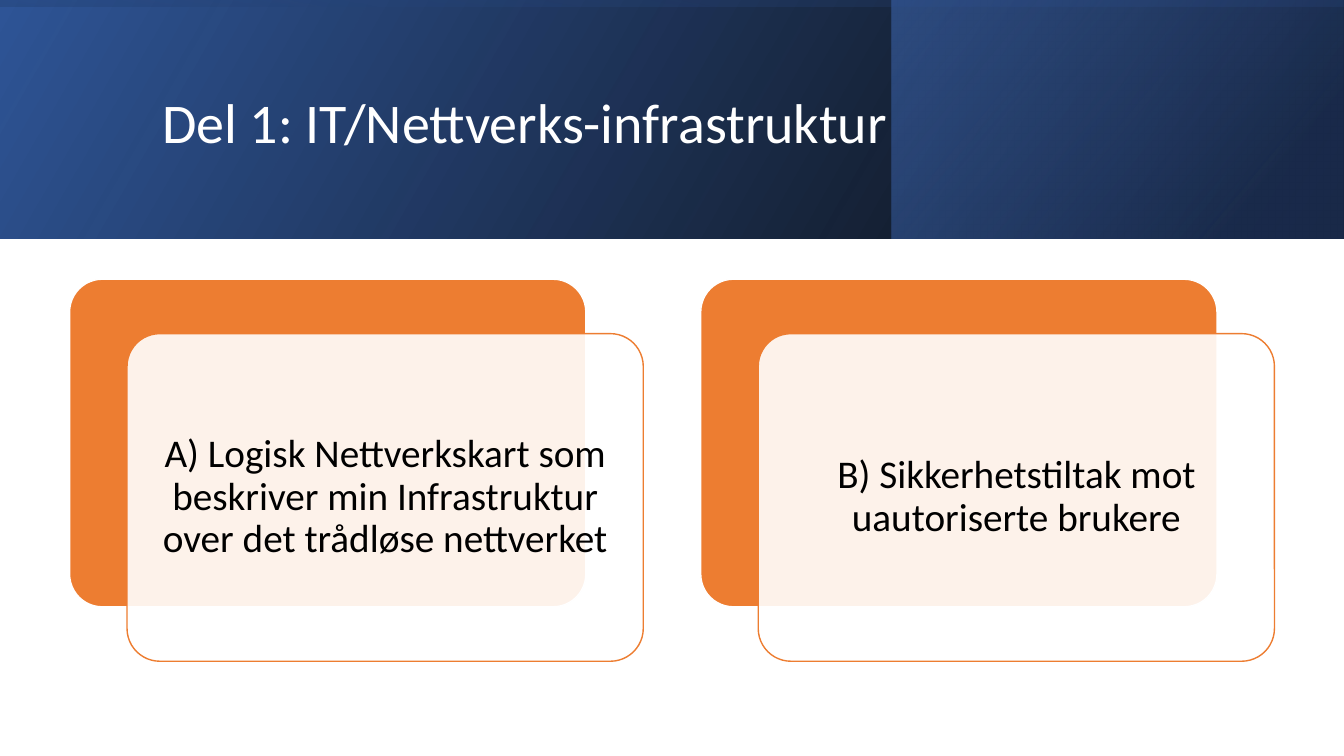
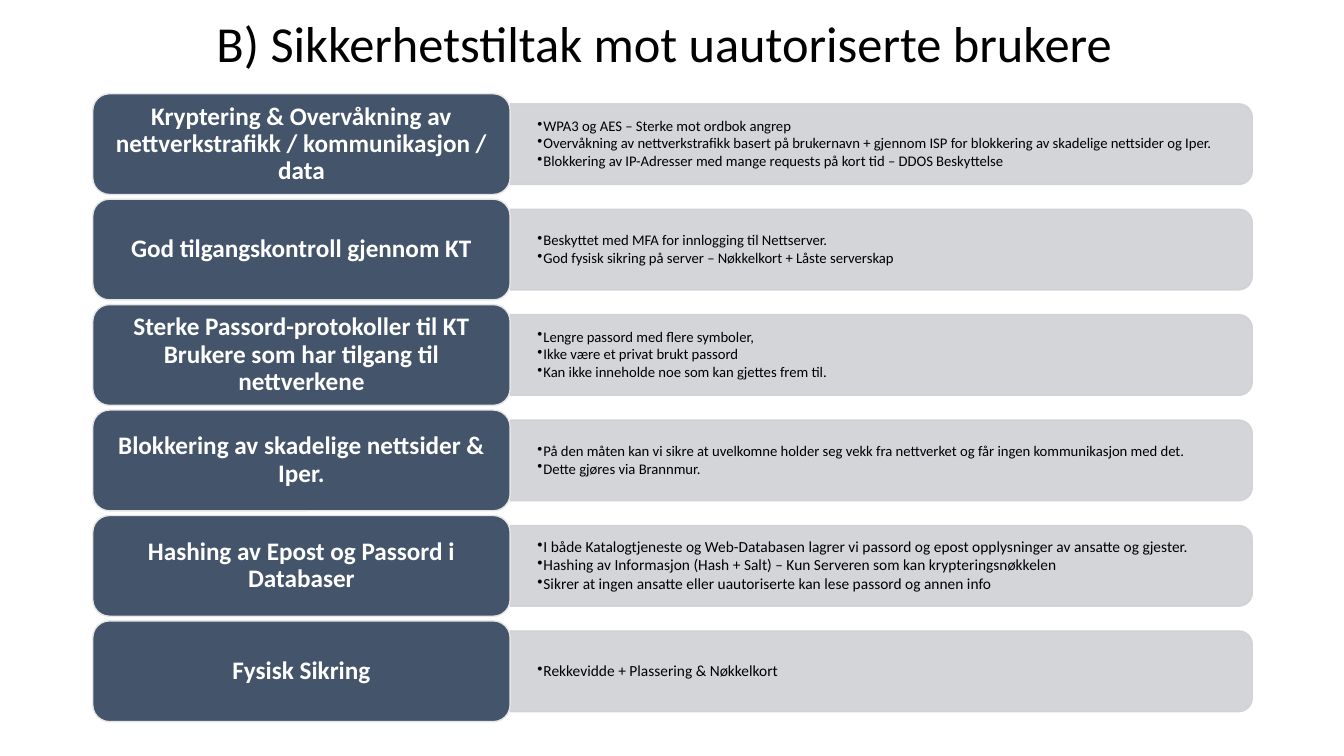
from lxml import etree
from pptx import Presentation
from pptx.dml.color import RGBColor
from pptx.enum import shapes, text
from pptx.oxml.ns import qn
from pptx.util import Inches, Pt

FONT = "Calibri"
WHITE = RGBColor(0xFF, 0xFF, 0xFF)
BLACK = RGBColor(0x00, 0x00, 0x00)
ORANGE = RGBColor(0xED, 0x7D, 0x31)
SLATE = RGBColor(0x44, 0x54, 0x6A)
PALE = RGBColor(0xE7, 0xE6, 0xE6)
GREY = RGBColor(0xCF, 0xD1, 0xD4)
BLUE = RGBColor(0x2F, 0x55, 0x97)
NAVY = RGBColor(0x20, 0x38, 0x64)
SKY = RGBColor(0x44, 0x72, 0xC4)

RECTANGLE = shapes.MSO_SHAPE.RECTANGLE
ROUNDED = shapes.MSO_SHAPE.ROUNDED_RECTANGLE
TWO_ROUNDED = shapes.MSO_SHAPE.ROUND_2_SAME_RECTANGLE
CENTER = text.PP_ALIGN.CENTER
LEFT = text.PP_ALIGN.LEFT

SECURITY_TITLE = "B) Sikkerhetstiltak mot uautoriserte brukere"

# (box, rotation, clockwise angle, stops of position, colour, opacity)
BAND_LAYERS = [
    ((0, 0, 13.33, 2.37), 0, 330, [(0, BLACK, 96), (100, BLUE, 100)]),
    ((8.84, 0, 4.48, 2.37), 0, 320, [(19, NAVY, 68), (100, SKY, 48)]),
    ((5.48, -5.48, 2.37, 13.33), 270, 350, [(23, BLUE, 16), (99, BLACK, 45)]),
]

CARDS = [
    "A) Logisk Nettverkskart som beskriver min Infrastruktur over det trådløse nettverket",
    SECURITY_TITLE,
]

MEASURES = [
    ("Kryptering & Overvåkning av nettverkstrafikk / kommunikasjon / data", 10.5, [
        "WPA3 og AES – Sterke mot ordbok angrep",
        "Overvåkning av nettverkstrafikk basert på brukernavn + gjennom ISP for blokkering av skadelige nettsider og Iper.",
        "Blokkering av IP-Adresser med mange requests på kort tid – DDOS Beskyttelse",
    ]),
    ("God tilgangskontroll gjennom KT", 10.5, [
        "Beskyttet med MFA for innlogging til Nettserver.",
        "God fysisk sikring på server – Nøkkelkort + Låste serverskap",
    ]),
    ("Sterke Passord-protokoller til KT Brukere som har tilgang til nettverkene", 10.5, [
        "Lengre passord med flere symboler,",
        "Ikke være et privat brukt passord",
        "Kan ikke inneholde noe som kan gjettes frem til.",
    ]),
    ("Blokkering av skadelige nettsider & Iper.", 10.5, [
        "På den måten kan vi sikre at uvelkomne holder seg vekk fra nettverket og får ingen kommunikasjon med det.",
        "Dette gjøres via Brannmur.",
    ]),
    ("Hashing av Epost og Passord i Databaser", 11, [
        "I både Katalogtjeneste og Web-Databasen lagrer vi passord og epost opplysninger av ansatte og gjester.",
        "Hashing av Informasjon (Hash + Salt) – Kun Serveren som kan krypteringsnøkkelen",
        "Sikrer at ingen ansatte eller uautoriserte kan lese passord og annen info",
    ]),
    ("Fysisk Sikring", 11, ["Rekkevidde + Plassering & Nøkkelkort"]),
]

CARD_LEFT, CARD_TOP, CARD_PITCH = 0.69, 2.77, 6.26
CARD_WIDTH, CARD_HEIGHT = 5.12, 3.25
CARD_SHIFT_X, CARD_SHIFT_Y = 0.57, 0.54
ROW_LEFT, ROW_TOP, LAST_ROW_TOP = 0.92, 0.93, 6.16
LABEL_WIDTH, LABEL_HEIGHT = 4.14, 1
BAR_WIDTH, BAR_HEIGHT = 7.36, 0.8
DETAIL_WIDTH, DETAIL_HEIGHT = 7.32, 0.72


def inches(box):
    return [Inches(value) for value in box]


def set_opacity(colour, percent):
    etree.SubElement(colour, qn("a:alpha")).set("val", str(percent * 1000))


def add_shape(slide, kind, box, fill=None, line=None, opacity=100):
    shape = slide.shapes.add_shape(kind, *inches(box))
    shape.shadow.inherit = False
    if fill is not None:
        shape.fill.solid()
        shape.fill.fore_color.rgb = fill
        if opacity < 100:
            set_opacity(shape._element.spPr.find(f".//{qn('a:srgbClr')}"), opacity)
    if line is None:
        shape.line.fill.background()
    else:
        shape.line.color.rgb = line
        shape.line.width = Pt(1)
    return shape


def write(shape, lines, size, colour, align=CENTER, bold=False, insets=(0.1, 0.05)):
    frame = shape.text_frame
    frame.word_wrap = True
    frame.vertical_anchor = text.MSO_ANCHOR.MIDDLE
    frame.margin_left = frame.margin_right = Inches(insets[0])
    frame.margin_top = frame.margin_bottom = Inches(insets[1])
    frame.text = "\n".join(lines)
    for paragraph in frame.paragraphs:
        paragraph.alignment = align
        paragraph.line_spacing = 0.9
        paragraph.font.name = FONT
        paragraph.font.size = Pt(size)
        paragraph.font.bold = bold
        paragraph.font.color.rgb = colour
    return frame


def add_bullets(frame):
    for paragraph in frame.paragraphs:
        paragraph.space_after = Pt(1.3)
        properties = paragraph._p.get_or_add_pPr()
        properties.set("marL", str(Inches(0.06)))
        properties.set("indent", str(-Inches(0.06)))
        etree.SubElement(properties, qn("a:buChar")).set("char", "•")
        properties.append(properties.find(qn("a:defRPr")))


def add_titled_slide(presentation, title, box, size, colour, align):
    slide = presentation.slides.add_slide(presentation.slide_layouts[5])
    shape = slide.shapes.title
    shape.left, shape.top, shape.width, shape.height = inches(box)
    write(shape, [title], size, colour, align)
    return slide


def add_band(slide):
    for box, rotation, angle, stops in BAND_LAYERS:
        layer = add_shape(slide, RECTANGLE, box)
        layer.rotation = rotation
        layer._element.spPr.find(qn("a:xfrm")).set("flipH", "1")
        layer.fill.gradient()
        layer.fill.gradient_angle = 360 - angle
        for stop, (position, colour, _) in zip(layer.fill.gradient_stops, stops):
            stop.position = position / 100
            stop.color.rgb = colour
        colours = layer._element.spPr.find(qn("a:gradFill")).iter(qn("a:srgbClr"))
        for colour, (_, _, opacity) in zip(list(colours), stops):
            set_opacity(colour, opacity)
    slide.shapes._spTree.append(slide.shapes.title._element)


def build_overview(presentation):
    slide = add_titled_slide(presentation, "Del 1: IT/Nettverks-infrastruktur",
                             (1.51, 0.38, 10.63, 1.72), 40, WHITE, LEFT)
    add_band(slide)
    for index, caption in enumerate(CARDS):
        left = CARD_LEFT + index * CARD_PITCH
        back = add_shape(slide, ROUNDED, (left, CARD_TOP, CARD_WIDTH, CARD_HEIGHT), ORANGE, WHITE)
        front_box = (left + CARD_SHIFT_X, CARD_TOP + CARD_SHIFT_Y, CARD_WIDTH, CARD_HEIGHT)
        front = add_shape(slide, ROUNDED, front_box, WHITE, ORANGE, 90)
        for card in (back, front):
            card.adjustments[0] = 0.1
        write(front, [caption], 28, BLACK, insets=(0.12, 0.12))


def build_measures(presentation):
    slide = add_titled_slide(presentation, SECURITY_TITLE,
                             (0.84, -0.16, 11.5, 1.24), 36, BLACK, CENTER)
    pitch = (LAST_ROW_TOP - ROW_TOP) / (len(MEASURES) - 1)
    bar_left = ROW_LEFT + LABEL_WIDTH
    turn = (BAR_WIDTH - BAR_HEIGHT) / 2
    for index, (heading, size, details) in enumerate(MEASURES):
        top = ROW_TOP + index * pitch
        bar_top = top + (LABEL_HEIGHT - BAR_HEIGHT) / 2
        detail_top = top + (LABEL_HEIGHT - DETAIL_HEIGHT) / 2
        bar = add_shape(slide, TWO_ROUNDED, (bar_left + turn, bar_top - turn, BAR_HEIGHT, BAR_WIDTH),
                        GREY, GREY, 90)
        bar.rotation = 90
        set_opacity(bar._element.spPr.find(qn("a:ln")).find(f".//{qn('a:srgbClr')}"), 90)
        detail = slide.shapes.add_textbox(*inches((bar_left, detail_top, DETAIL_WIDTH, DETAIL_HEIGHT)))
        add_bullets(write(detail, details, size, BLACK, LEFT, insets=(0.27, 0.14)))
        label = add_shape(slide, ROUNDED, (ROW_LEFT, top, LABEL_WIDTH, LABEL_HEIGHT), SLATE, PALE)
        write(label, [heading], 18, WHITE, bold=True, insets=(0.07, 0.04))


def main():
    presentation = Presentation()
    presentation.slide_width = Inches(13.33)
    presentation.slide_height = Inches(7.5)
    build_overview(presentation)
    build_measures(presentation)
    presentation.save("out.pptx")


if __name__ == "__main__":
    main()
